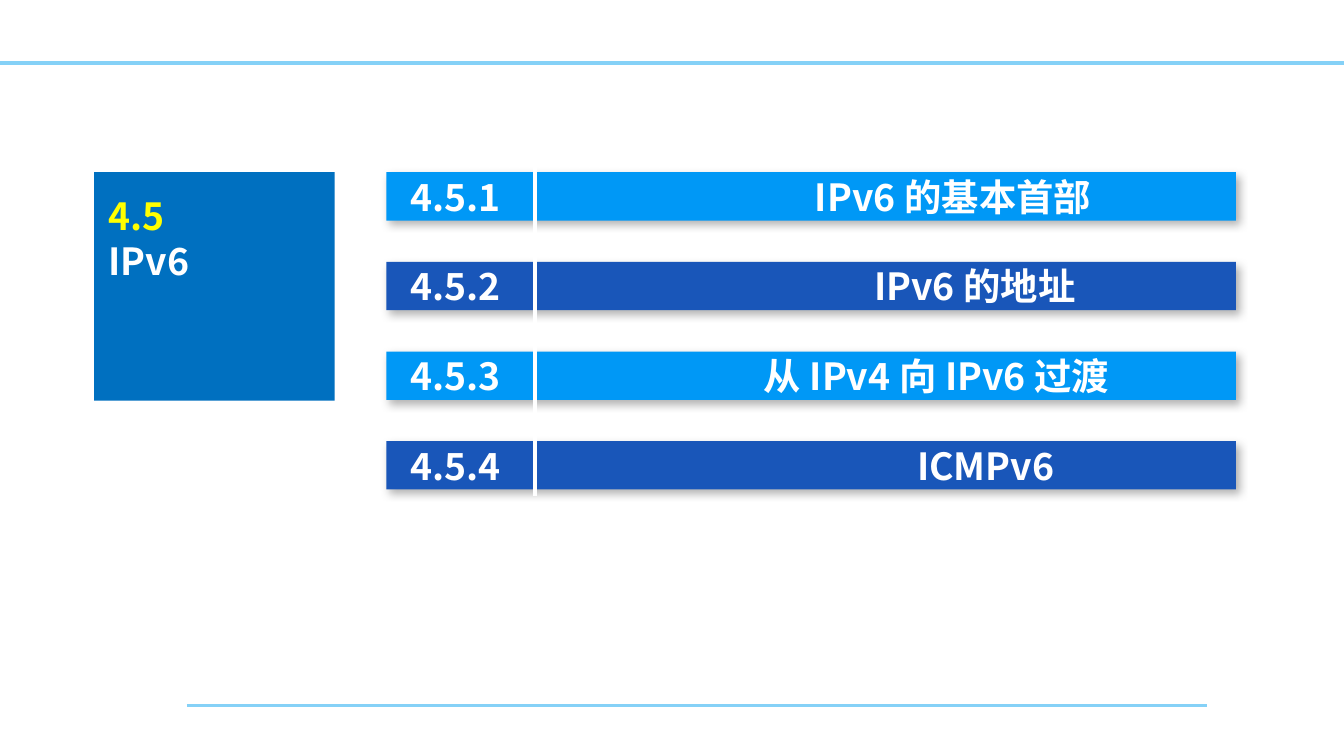
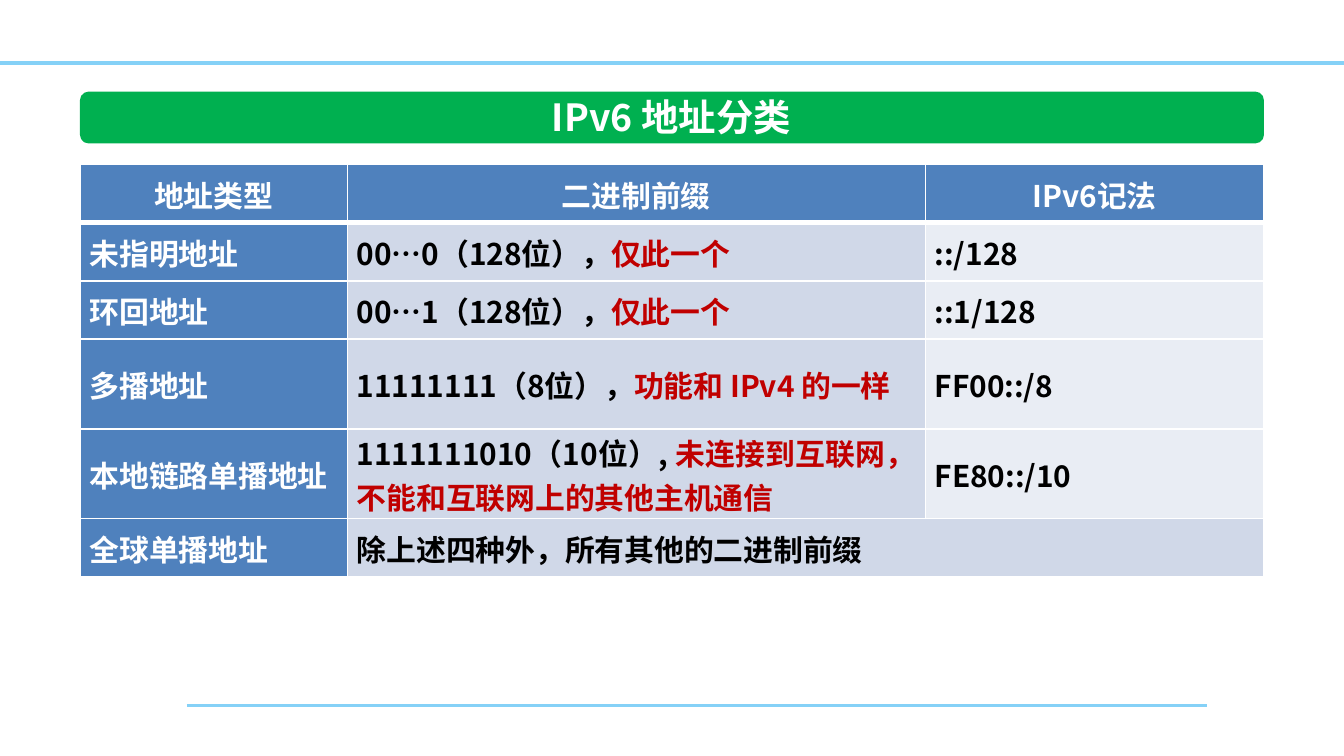
from lxml.etree import SubElement as Sub
from pptx import Presentation
from pptx.dml.color import RGBColor as Rgb
from pptx.enum.shapes import MSO_CONNECTOR as Link, MSO_SHAPE as Form
from pptx.enum.text import MSO_ANCHOR as Anchor, PP_ALIGN as Align
from pptx.oxml.ns import qn
from pptx.util import Inches, Pt

WIDE = 10
HIGH = WIDE * 9 / 16
COLS = 100
UNIT = WIDE / COLS
FACE = "Noto Sans CJK SC"
WHITE, BLACK, RED, YELLOW = "FFFFFF", "000000", "C00000", "FFFF00"
RULE, GREEN, PANEL = "85D1F7", "00B050", "0070C0"
BARS = ["0098F6", "1956B9"]
HEAD, PALE, LIGHT = "4F81BD", "D0D8E8", "E9EDF4"


def tint(code):
    return Rgb.from_string(code)


def grid(*cells):
    return [Inches(round(cell * UNIT, 3)) for cell in cells]


def write(frame, paras, size=20, color=WHITE, align=Align.LEFT, gap=0, tabs=()):
    frame.word_wrap = True
    for row, parts in enumerate(paras):
        para = frame.paragraphs[0] if row == 0 else frame.add_paragraph()
        para.alignment = align
        para.line_spacing = Pt(24)
        if row and gap:
            para.space_before = Pt(gap)
        if tabs:
            stops = Sub(para._p.get_or_add_pPr(), qn("a:tabLst"))
            Sub(stops, qn("a:tab"), pos=str(grid(tabs[row])[0]), algn="l")
        for part in parts:
            words, shade = (part, color) if isinstance(part, str) else part
            run = para.add_run()
            run.text = words
            font = run.font
            font.size, font.bold, font.name = Pt(size), True, FACE
            font.color.rgb = tint(shade)
            Sub(run._r.rPr, qn("a:ea"), typeface=FACE)


class Deck:
    def __init__(self):
        self.prs = Presentation()
        self.prs.slide_width, self.prs.slide_height = Inches(WIDE), Inches(HIGH)
        self.page = None

    def open(self):
        self.page = self.prs.slides.add_slide(self.prs.slide_layouts[6])
        self.line(13.9, 52.5, 89.8, 52.5, RULE, 1.5)
        self.line(0, 4.7, COLS, 4.7, RULE, 2)

    def line(self, left, top, right, low, color, width):
        line = self.page.shapes.add_connector(Link.STRAIGHT, *grid(left, top, right, low))
        line.line.color.rgb = tint(color)
        line.line.width = Pt(width)
        Sub(line._element.spPr, qn("a:effectLst"))

    def block(self, left, top, width, height, color, form=Form.RECTANGLE, shade=False):
        block = self.page.shapes.add_shape(form, *grid(left, top, width, height))
        block.fill.solid()
        block.fill.fore_color.rgb = tint(color)
        block.line.fill.background()
        block.shadow.inherit = False
        if shade:
            cast = Sub(block._element.spPr.find(qn("a:effectLst")), qn("a:outerShdw"),
                       blurRad=str(Pt(4.5)), dist=str(Pt(2.6)), dir=str(53 * 60000),
                       algn="ctr", rotWithShape="0")
            ink = Sub(cast, qn("a:srgbClr"), val=BLACK)
            Sub(ink, qn("a:alpha"), val="30000")

    def text(self, left, top, width, height, paras, **style):
        box = self.page.shapes.add_textbox(*grid(left, top, width, height))
        write(box.text_frame, paras, **style)

    def table(self, left, top, cols, high, rows):
        shape = self.page.shapes.add_table(
            len(rows), len(cols), *grid(left, top, sum(cols), high * len(rows)))
        table = shape.table
        table.horz_banding = table.first_row = False
        for col, width in zip(table.columns, grid(*cols)):
            col.width = width
        for y, row in enumerate(rows):
            table.rows[y].height = grid(high)[0]
            for x in range(len(cols)):
                cell = table.cell(y, x)
                self.edge(cell, y)
                cell.fill.solid()
                fill = HEAD if y == 0 else (HEAD, PALE, LIGHT)[x]
                cell.fill.fore_color.rgb = tint(fill)
                cell.vertical_anchor = Anchor.MIDDLE
                cell.margin_left = cell.margin_right = Inches(0.07)
                cell.margin_top = cell.margin_bottom = 0
                if x < len(row):
                    write(cell.text_frame, [row[x]], size=16,
                          color=WHITE if HEAD == fill else BLACK,
                          align=Align.JUSTIFY if y else Align.CENTER)
            if len(row) < len(cols):
                table.cell(y, len(row) - 1).merge(table.cell(y, len(cols) - 1))

    def edge(self, cell, y):
        wide = {"T": 3 if y == 1 else 1, "B": 3 if y == 0 else 1}
        for side in "LRTB":
            rim = Sub(cell._tc.get_or_add_tcPr(), qn(f"a:ln{side}"),
                      w=str(Pt(wide.get(side, 1))))
            Sub(Sub(rim, qn("a:solidFill")), qn("a:srgbClr"), val=WHITE)


def topics(deck):
    deck.open()
    items = [("IPv6 的基本首部", 30.1), ("IPv6 的地址", 34.5),
             ("从 IPv4 向 IPv6 过渡", 26.3), ("ICMPv6", 37.7)]
    for row in range(len(items)):
        deck.block(28.75, 12.82 + row * 6.67, 63.2, 3.6, BARS[row % 2], shade=True)
    deck.block(7, 12.82, 17.9, 17, PANEL)
    deck.text(7.1, 13.9, 17.8, 7.7, [[("4.5", YELLOW)], ["IPv6"]])
    deck.line(39.8, 11.9, 39.8, 36.9, WHITE, 2.25)
    deck.text(29.55, 12.45, 61.5, 24.6,
              [[f"4.5.{n}\t{name}"] for n, (name, _) in enumerate(items, 1)],
              gap=24, tabs=[stop for _, stop in items])


def kinds(deck):
    deck.open()
    deck.block(5.95, 6.82, 88.1, 3.86, GREEN, Form.ROUNDED_RECTANGLE)
    deck.text(21.2, 6.5, 57.5, 4.4, [["IPv6 地址分类"]], align=Align.CENTER)
    only = ("仅此一个", RED)
    deck.table(5.97, 12.25, [19.88, 43, 25.2], 4.33, [
        [["地址类型"], ["二进制前缀"], ["IPv6记法"]],
        [["未指明地址"], ["00…0（128位），", only], ["::/128"]],
        [["环回地址"], ["00…1（128位），", only], ["::1/128"]],
        [["多播地址"], ["11111111（8位），", ("功能和 IPv4 的一样", RED)], ["FF00::/8"]],
        [["本地链路单播地址"],
         ["1111111010（10位）, ", ("未连接到互联网，不能和互联网上的其他主机通信", RED)],
         ["FE80::/10"]],
        [["全球单播地址"], ["除上述四种外，所有其他的二进制前缀"]],
    ])


def main():
    deck = Deck()
    topics(deck)
    kinds(deck)
    deck.prs.save("out.pptx")


if __name__ == "__main__":
    main()
